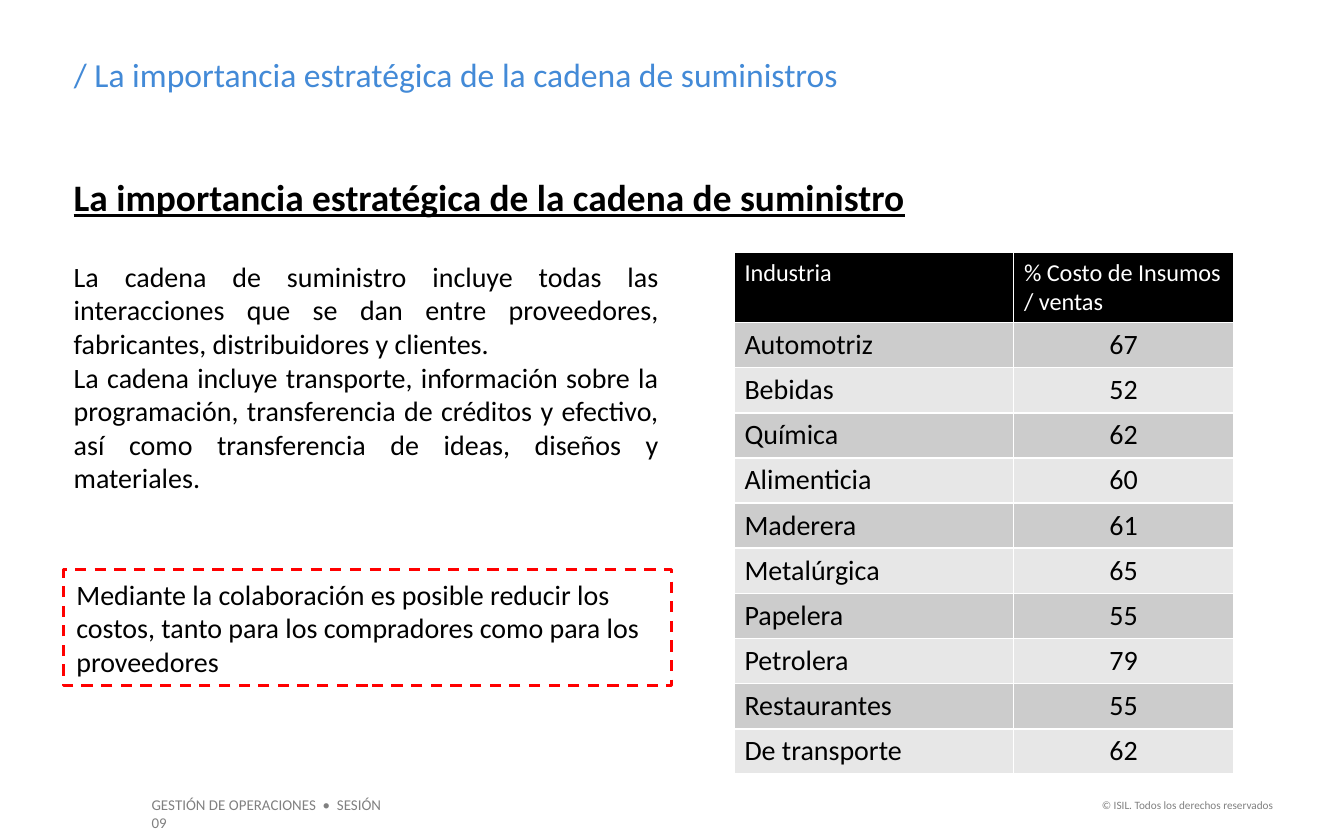
import pptx
import pptx.dml.color
import pptx.enum.dml
import pptx.enum.shapes
import pptx.enum.text
import pptx.oxml
import pptx.oxml.ns
import pptx.util

Inches = pptx.util.Inches
Pt = pptx.util.Pt
RGBColor = pptx.dml.color.RGBColor
ALIGN = pptx.enum.text.PP_ALIGN

BLACK = RGBColor(0x00, 0x00, 0x00)
WHITE = RGBColor(0xFF, 0xFF, 0xFF)
GRAY = RGBColor(0x80, 0x80, 0x80)
BLUE = RGBColor(0x43, 0x8A, 0xD7)
RED = RGBColor(0xFF, 0x00, 0x00)
BAND_DARK = RGBColor(0xCC, 0xCC, 0xCC)
BAND_LIGHT = RGBColor(0xE7, 0xE7, 0xE7)

HEADER = ("Industria", "% Costo de Insumos / ventas")
COSTS = [
    ("Automotriz", 67),
    ("Bebidas", 52),
    ("Química", 62),
    ("Alimenticia", 60),
    ("Maderera", 61),
    ("Metalúrgica", 65),
    ("Papelera", 55),
    ("Petrolera", 79),
    ("Restaurantes", 55),
    ("De transporte", 62),
]
SUPPLY_CHAIN = [
    "La cadena de suministro incluye todas las interacciones que se dan entre "
    "proveedores, fabricantes, distribuidores y clientes.",
    "La cadena incluye transporte, información sobre la programación, "
    "transferencia de créditos y efectivo, así como transferencia de ideas, "
    "diseños y materiales.",
]
COLLABORATION = (
    "Mediante la colaboración es posible reducir los costos, "
    "tanto para los compradores como para los proveedores"
)


def write(frame, lines, size, color, align=ALIGN.LEFT, **font_format):
    """Fill a text frame with one paragraph per line, all formatted alike."""
    frame.word_wrap = True
    for index, line in enumerate(lines):
        para = frame.paragraphs[0] if index == 0 else frame.add_paragraph()
        para.alignment = align
        span = para.add_run()
        span.text = line
        span.font.color.rgb = color
        values = {"name": "Calibri", "size": Pt(size), "bold": False, **font_format}
        for name, value in values.items():
            setattr(span.font, name, value)


def place(shape, left, top, width, height):
    values = {"left": left, "top": top, "width": width, "height": height}
    for name, value in values.items():
        setattr(shape, name, Inches(value))


def add_title(page, text):
    title = page.shapes.title
    place(title, 0.45, 0.35, 7.88, 0.4)
    frame = title.text_frame
    frame.auto_size = pptx.enum.text.MSO_AUTO_SIZE.NONE
    frame.vertical_anchor = pptx.enum.text.MSO_ANCHOR.TOP
    write(frame, [text], 18, BLUE)


def add_text(page, position, lines, size, color, **text_format):
    box = page.shapes.add_textbox(*map(Inches, position))
    write(box.text_frame, lines, size, color, **text_format)


def add_dashed_box(page, position, text):
    box = page.shapes.add_shape(
        pptx.enum.shapes.MSO_SHAPE.RECTANGLE, *map(Inches, position)
    )
    box.shadow.inherit = False
    box.fill.background()
    box.line.color.rgb = RED
    box.line.width = Pt(1.5)
    box.line.dash_style = pptx.enum.dml.MSO_LINE.DASH
    write(box.text_frame, [text], 15, BLACK)


def add_borders(cell, color, width):
    properties = cell._tc.get_or_add_tcPr()
    for index, side in enumerate(("lnL", "lnR", "lnT", "lnB")):
        border = pptx.oxml.parse_xml(
            f'<a:{side} {pptx.oxml.ns.nsdecls("a")} w="{Pt(width)}">'
            f'<a:solidFill><a:srgbClr val="{color}"/></a:solidFill></a:{side}>'
        )
        properties.insert(index, border)


def fill_cell(cell, text, fill, size, color, align):
    margins = {
        "margin_left": 0.08,
        "margin_right": 0.08,
        "margin_top": 0.04,
        "margin_bottom": 0.04,
    }
    for name, value in margins.items():
        setattr(cell, name, Inches(value))
    cell.fill.solid()
    cell.fill.fore_color.rgb = fill
    add_borders(cell, WHITE, 1)
    write(cell.text_frame, [text], size, color, align)


def add_cost_table(page):
    height, header_height = 3.88, 0.52
    rows = [HEADER, *COSTS]
    table = page.shapes.add_table(
        len(rows), 2, Inches(5.46), Inches(1.88), Inches(3.72), Inches(height)
    ).table
    for column, width in zip(table.columns, (2.08, 1.64)):
        column.width = Inches(width)
    for row in table.rows:
        row.height = Inches((height - header_height) / len(COSTS))
    table.rows[0].height = Inches(header_height)

    for row_index, values in enumerate(rows):
        for column_index, value in enumerate(values):
            cell = table.cell(row_index, column_index)
            if row_index == 0:
                fill_cell(cell, value, BLACK, 13, WHITE, ALIGN.LEFT)
            else:
                band = BAND_DARK if row_index % 2 else BAND_LIGHT
                align = ALIGN.CENTER if column_index else ALIGN.LEFT
                fill_cell(cell, str(value), band, 15, BLACK, align)


def main():
    deck = pptx.Presentation()
    deck.slide_width = Inches(10)
    deck.slide_height = Inches(6.25)
    page = deck.slides.add_slide(deck.slide_layouts[5])

    add_title(page, "/ La importancia estratégica de la cadena de suministros")
    add_text(page, (1.03, 5.87, 2, 0.24),
             ["GESTIÓN DE OPERACIONES  •  SESIÓN 09"], 8, GRAY)
    add_text(page, (8.03, 5.89, 1.54, 0.2),
             ["© ISIL. Todos los derechos reservados"], 6, GRAY, align=ALIGN.RIGHT)
    add_text(page, (0.45, 1.88, 4.55, 1.87), SUPPLY_CHAIN, 15, BLACK,
             align=ALIGN.JUSTIFY)
    add_cost_table(page)
    add_dashed_box(page, (0.47, 4.24, 4.53, 0.86), COLLABORATION)
    add_text(page, (0.45, 1.25, 7.62, 0.44),
             ["La importancia estratégica de la cadena de suministro"], 20, BLACK,
             bold=True, underline=True)

    deck.save("out.pptx")


if __name__ == "__main__":
    main()
